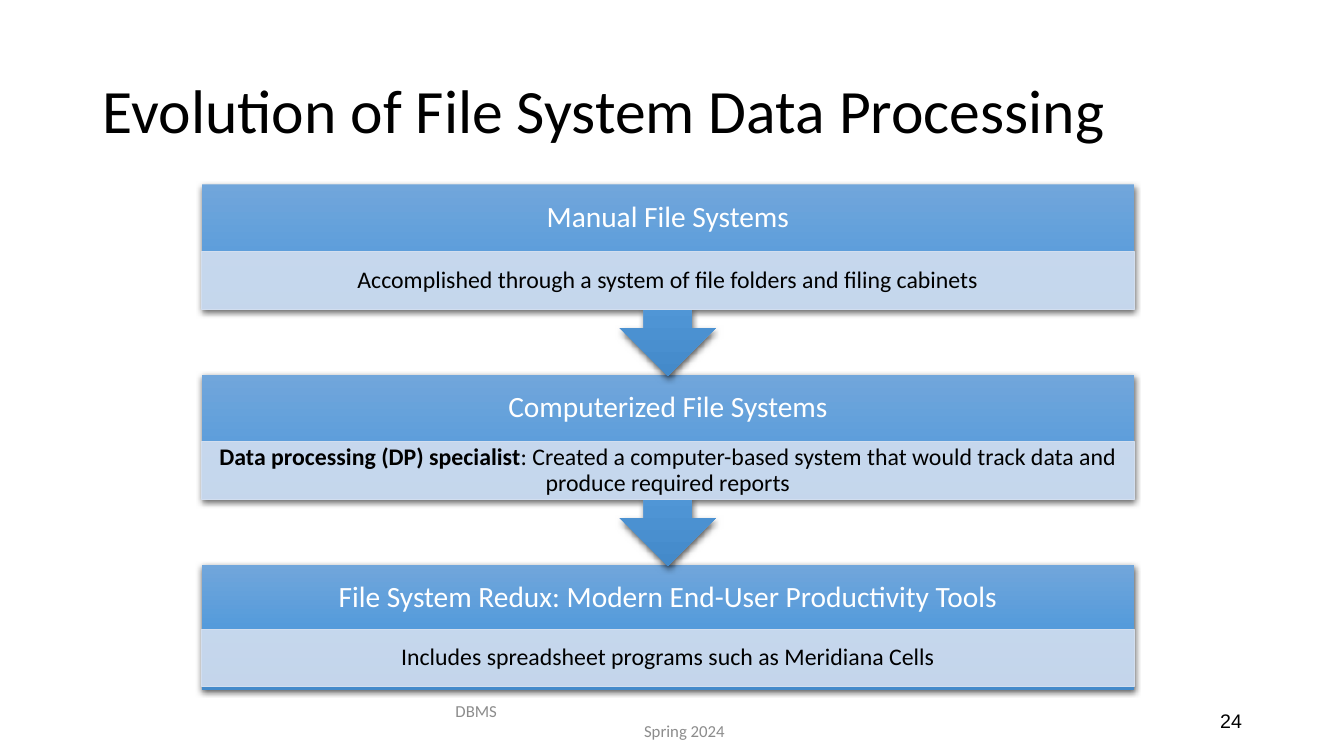
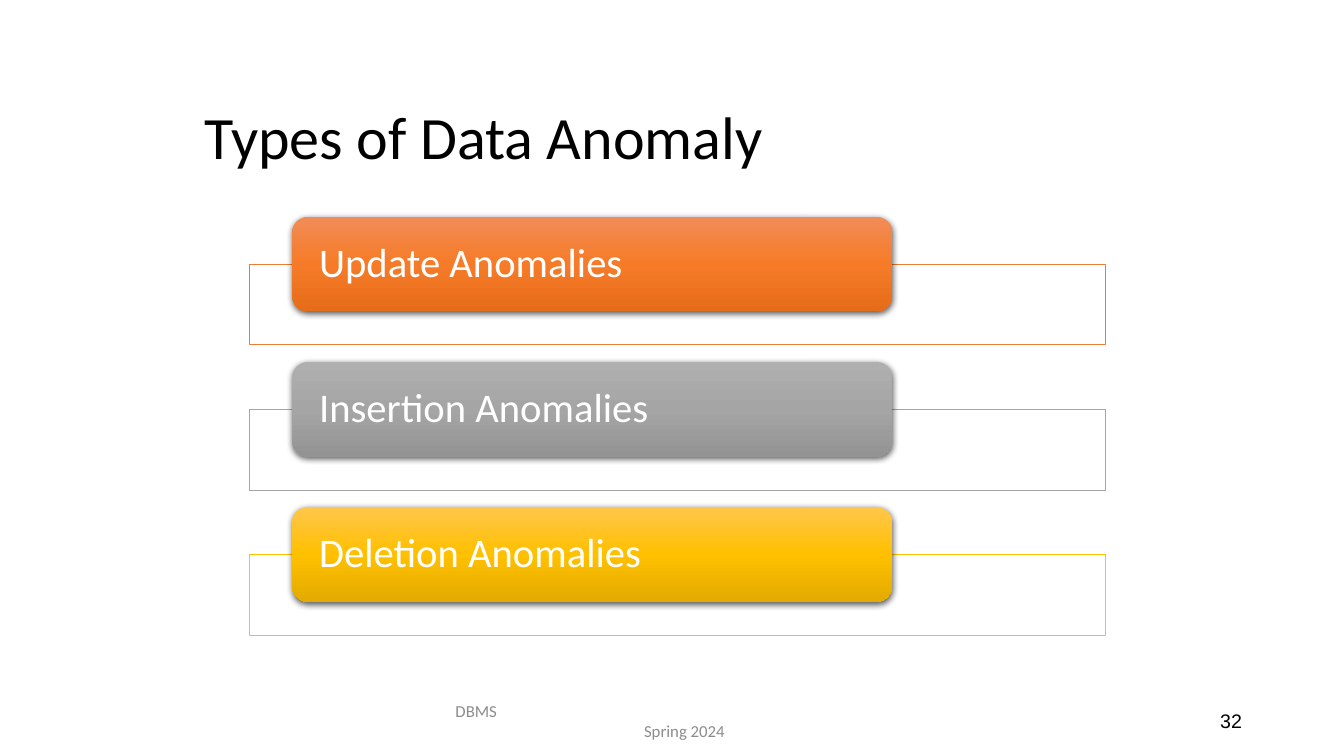
"""Build two slides on file system evolution and data anomalies."""
from lxml import etree
from pptx import Presentation
from pptx import util as u
from pptx.dml.color import RGBColor
from pptx.enum import shapes, text
from pptx.oxml import parse_xml
from pptx.oxml.ns import nsdecls, qn

MSO = shapes.MSO_SHAPE
AL = text.PP_ALIGN
BLACK, WHITE, GREY, PALE = "000000", "FFFFFF", "8C8C8C", "D2DEEF"
BLUE = ("71A6DB", "559BDB", "448ACA")

prs = Presentation()
prs.slide_width, prs.slide_height = u.Inches(13.33), u.Inches(7.5)


def place(s, kind, x, y, w, h, fill=None, line=None):
    """Add a box in percent of the slide; a tuple of fills makes a shadowed gradient."""
    W, H = prs.slide_width / 100, prs.slide_height / 100
    box = [int(v) for v in (x * W, y * H, w * W, h * H)]
    if kind is None:
        return s.shapes.add_textbox(*box)
    sp = s.shapes.add_shape(kind, *box)
    sp.shadow.inherit = False
    spPr = sp._element.spPr
    if line:
        sp.line.color.rgb = RGBColor.from_string(line)
        sp.line.width = u.Pt(0.5)
    else:
        sp.line.fill.background()
    if isinstance(fill, tuple):
        stops = "".join(f'<a:gs pos="{i * 50000}"><a:srgbClr val="{c}"/></a:gs>'
                        for i, c in enumerate(fill))
        spPr.find(qn("a:ln")).addprevious(parse_xml(
            f'<a:gradFill {nsdecls("a")} rotWithShape="1"><a:gsLst>{stops}</a:gsLst>'
            '<a:lin ang="5400000" scaled="0"/></a:gradFill>'))
        spPr.find(qn("a:effectLst")).append(parse_xml(
            f'<a:outerShdw {nsdecls("a")} blurRad="57150" dist="19050" dir="5400000" '
            'algn="ctr" rotWithShape="0"><a:srgbClr val="000000">'
            '<a:alpha val="63000"/></a:srgbClr></a:outerShdw>'))
    else:
        sp.fill.solid()
        sp.fill.fore_color.rgb = RGBColor.from_string(fill)
        clr = spPr.find(qn("a:solidFill"))[0]
        etree.SubElement(clr, qn("a:alpha")).set("val", "90000")
    return sp


def write(sp, words, size, color, align=AL.LEFT, side=0.1, edge=0.05,
          lead="", font="Calibri", spacing=0.9):
    """Fill a shape with text, with an optional bold lead."""
    tf = sp.text_frame
    tf.word_wrap = True
    tf.vertical_anchor = text.MSO_ANCHOR.MIDDLE
    tf.margin_left = tf.margin_right = u.Inches(side)
    tf.margin_top = tf.margin_bottom = u.Inches(edge)
    tf.text = lead or words
    if lead:
        tf.paragraphs[0].runs[0].font.bold = True
        tf.paragraphs[0].add_run().text = words
    for p in tf.paragraphs:
        p.alignment, p.line_spacing = align, spacing
        for r in p.runs:
            r.font.name, r.font.size = font, u.Pt(size)
            r.font.color.rgb = RGBColor.from_string(color)
    return tf


pages = [
    ("Evolution of File System Data Processing", 44, (6.9, 5.33, 86.25, 19.33), "24"),
    ("Types of Data Anomaly", 42.9, (14.48, 10.67, 72.3, 15.6), "32"),
]
for title, size, box, number in pages:
    s = prs.slides.add_slide(prs.slide_layouts[6])
    write(place(s, None, *box), title, size, BLACK)
    write(place(s, None, 70.65, 92.67, 22.5, 5.33), number, 14, BLACK, AL.RIGHT,
          font="Arial", spacing=1)
    tf = write(place(s, None, 33.15, 92.67, 33.75, 5.33), "DBMS\nSpring 2024", 12, GREY,
               spacing=1)
    p = tf.paragraphs[1]
    p.alignment = AL.CENTER
    p._p.get_or_add_pPr().set("marL", str(u.Inches(0.24)))

evolution, anomalies = prs.slides

stages = [
    ("Manual File Systems", "",
     "Accomplished through a system of file folders and filing cabinets"),
    ("Computerized File Systems", "Data processing (DP) specialist",
     ": Created a computer-based system that would track data and produce required reports"),
    ("File System Redux: Modern End-User Productivity Tools", "",
     "Includes spreadsheet programs such as Meridiana Cells"),
]
left, width = 15, 69.38
for i, (stage, lead, detail) in reversed(list(enumerate(stages))):
    top = 24.4 + 25.14 * i
    last = i == len(stages) - 1
    kind, height, drop = ((MSO.RECTANGLE, 16.53, 8.53) if last
                          else (MSO.DOWN_ARROW_CALLOUT, 25.33, 8.9))
    place(evolution, kind, left, top, width, height, BLUE)
    write(place(evolution, None, left, top, width, 8.93), stage, 21, WHITE, AL.CENTER,
          0.16, 0.16)
    sp = place(evolution, MSO.RECTANGLE, left, top + drop, width, 7.6, PALE, PALE)
    write(sp, detail, 17, BLACK, AL.CENTER, 0.13, 0.02, lead)

kinds = [
    ("Update Anomalies", "ED7D31", ("F18C57", "F67B28", "E56C19")),
    ("Insertion Anomalies", "A5A5A5", ("AFAFAF", "A5A5A5", "939393")),
    ("Deletion Anomalies", "FFC000", ("FFC64B", "FFC000", "E3AB00")),
]
for i, (name, line, shades) in enumerate(kinds):
    top = 28.67 + 19.2 * i
    place(anomalies, MSO.RECTANGLE, 18.53, top + 6.27, 63.75, 10.67, WHITE, line)
    sp = place(anomalies, MSO.ROUNDED_RECTANGLE, 21.75, top, 44.63, 12.53, shades)
    write(sp, name, 29, WHITE, side=0.22, edge=0)

prs.save("out.pptx")
